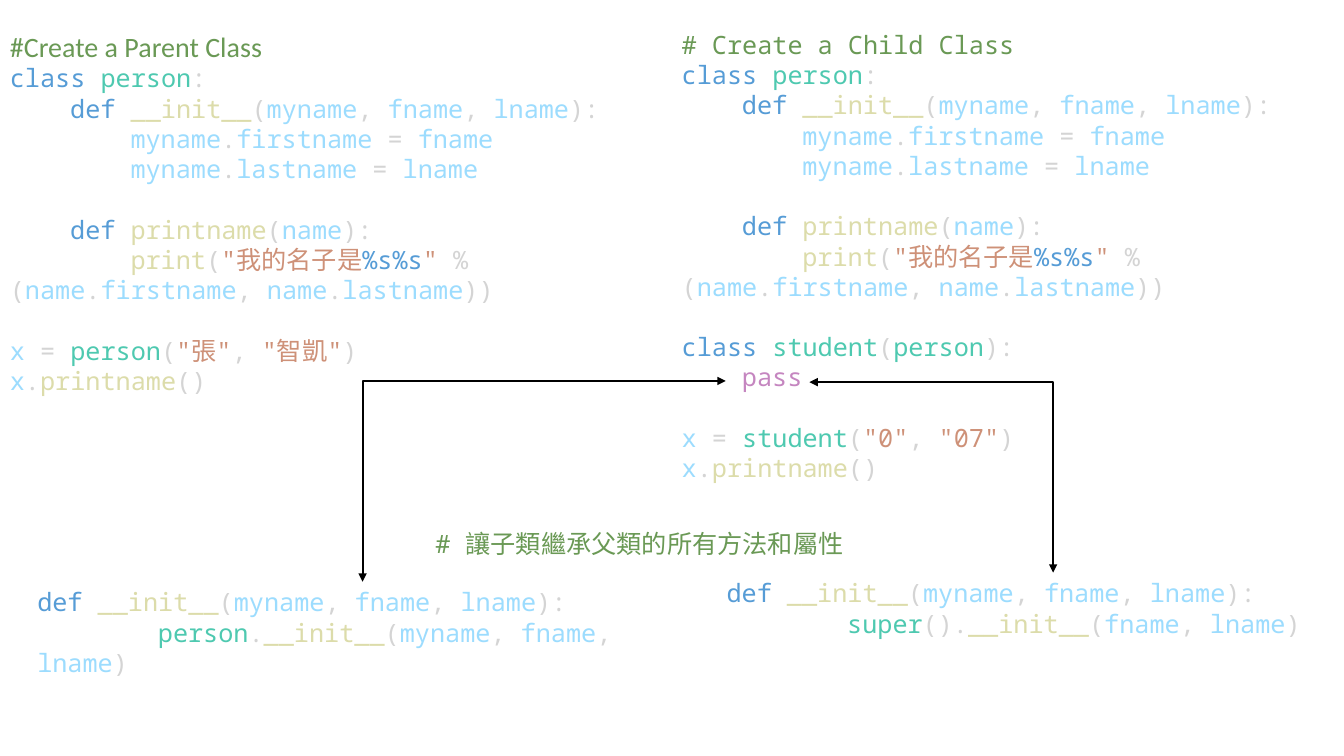
from itertools import groupby

from lxml.etree import SubElement
from pptx import Presentation
from pptx.dml.color import RGBColor
from pptx.enum.shapes import MSO_CONNECTOR as Connector
from pptx.oxml.ns import qn
from pptx.util import Cm, Pt

COLOURS = {
    "comment": "6A9955",
    "keyword": "569CD6",
    "control": "C586C0",
    "type": "4EC9B0",
    "function": "DCDCAA",
    "variable": "9CDCFE",
    "string": "CE9178",
    "punctuation": "D4D4D4",
    "arrow": "000000",
}
WORD_KINDS = {
    "class": "keyword", "def": "keyword", "pass": "control",
    "person": "type", "student": "type", "super": "type",
    "__init__": "function", "printname": "function", "print": "function",
}
PLACEHOLDER = "%s%s"
CODE_FONT = {"name": "Noto Sans Mono", "size": Pt(18)}
HEADING_FONT = {"name": "Calibri", "size": Pt(20)}
INDENT = Cm(1.52)
BLANK_LINE = Pt(21.6)

# Each code line: indent level, blank lines above, text
INIT_HEAD = "def __init__(myname, fname, lname):"
PERSON_CLASS = [
    (0, 0, "class person:"),
    (1, 0, INIT_HEAD),
    (2, 0, "myname.firstname = fname"),
    (2, 0, "myname.lastname = lname"),
    (1, 1, "def printname(name):"),
    (2, 0, 'print("我的名子是%s%s" %(name.firstname, name.lastname))'),
]
PRINT_CALL = (0, 0, "x.printname()")
PARENT = [
    (0, 0, "#Create a Parent Class"),
    *PERSON_CLASS,
    (0, 1, 'x = person("張", "智凱")'),
    PRINT_CALL,
]
CHILD = [
    (0, 0, "# Create a Child Class"),
    *PERSON_CLASS,
    (0, 1, "class student(person):"),
    (1, 0, "pass"),
    (0, 1, 'x = student("0", "07")'),
    PRINT_CALL,
]
PERSON_INIT = [(0, 0, INIT_HEAD), (2, 0, "person.__init__(myname, fname, lname)")]
SUPER_INIT = [(0, 0, INIT_HEAD), (2, 0, "super().__init__(fname, lname)")]
INHERIT_NOTE = [(0, 0, "# 讓子類繼承父類的所有方法和屬性")]

# Lines, font of the first line, then left, top, width, height in cm
HALF = 16.93
BLOCKS = [
    (PARENT, HEADING_FONT, (0, 0.61, HALF, 11.02)),
    (CHILD, CODE_FONT, (HALF, 0.61, HALF, 13.34)),
    (PERSON_INIT, CODE_FONT, (0.69, 14.66, HALF, 1.8)),
    (SUPER_INIT, CODE_FONT, (18.06, 14.43, HALF, 1.8)),
    (INHERIT_NOTE, CODE_FONT, (10.72, 13.18, 10.85, 1.02)),
]
# From "pass" to each replacement: start x, y, end x, y in cm
ARROWS = [(20.4, 9.63, 26.54, 14.43), (18.29, 9.6, 9.14, 14.66)]


def colour(hex_string):
    return RGBColor.from_string(hex_string)


def is_word_letter(letter):
    return letter.isalnum() or letter == "_"


def highlight(code):
    """Yield (text, kind) pieces of one line of code."""
    if code.startswith("#"):
        yield code, "comment"
        return
    for position, part in enumerate(code.split('"')):
        if position % 2:
            before, marker, after = f'"{part}"'.partition(PLACEHOLDER)
            yield before, "string"
            yield marker, "keyword"
            yield after, "string"
            continue
        for is_word, letters in groupby(part, is_word_letter):
            text = "".join(letters)
            yield text, WORD_KINDS.get(text, "variable") if is_word else "punctuation"


def add_code(page, lines, first_font, place):
    frame = page.shapes.add_textbox(*map(Cm, place)).text_frame
    frame.word_wrap = True
    for number, (level, blank_lines, code) in enumerate(lines):
        para = frame.add_paragraph() if number else frame.paragraphs[0]
        para.space_before = BLANK_LINE * blank_lines
        # First-line indent only, so wrapped code returns to the left edge
        para._p.get_or_add_pPr().set("indent", str(INDENT * level))
        font = CODE_FONT if number else first_font
        for text, kind in highlight(code):
            if not text:
                continue
            span = para.add_run()
            span.text = text
            for name, value in font.items():
                setattr(span.font, name, value)
            span.font.color.rgb = colour(COLOURS[kind])


def add_arrow(page, ends):
    """Add a one-bend connector with a triangle at both ends."""
    arrow = page.shapes.add_connector(Connector.ELBOW, *map(Cm, ends))
    arrow.line.width = Pt(1.5)
    arrow.line.color.rgb = colour(COLOURS["arrow"])
    properties = arrow.element.spPr
    properties.find(qn("a:prstGeom")).set("prst", "bentConnector2")
    line = properties.find(qn("a:ln"))
    for end in ("a:headEnd", "a:tailEnd"):
        SubElement(line, qn(end), type="triangle")
    SubElement(properties, qn("a:effectLst"))


def main():
    deck = Presentation()
    deck.slide_width, deck.slide_height = Cm(33.87), Cm(19.05)
    blank_layout = deck.slide_layouts[6]
    page = deck.slides.add_slide(blank_layout)
    for block in BLOCKS:
        add_code(page, *block)
    for ends in ARROWS:
        add_arrow(page, ends)
    deck.save("out.pptx")


if __name__ == "__main__":
    main()
